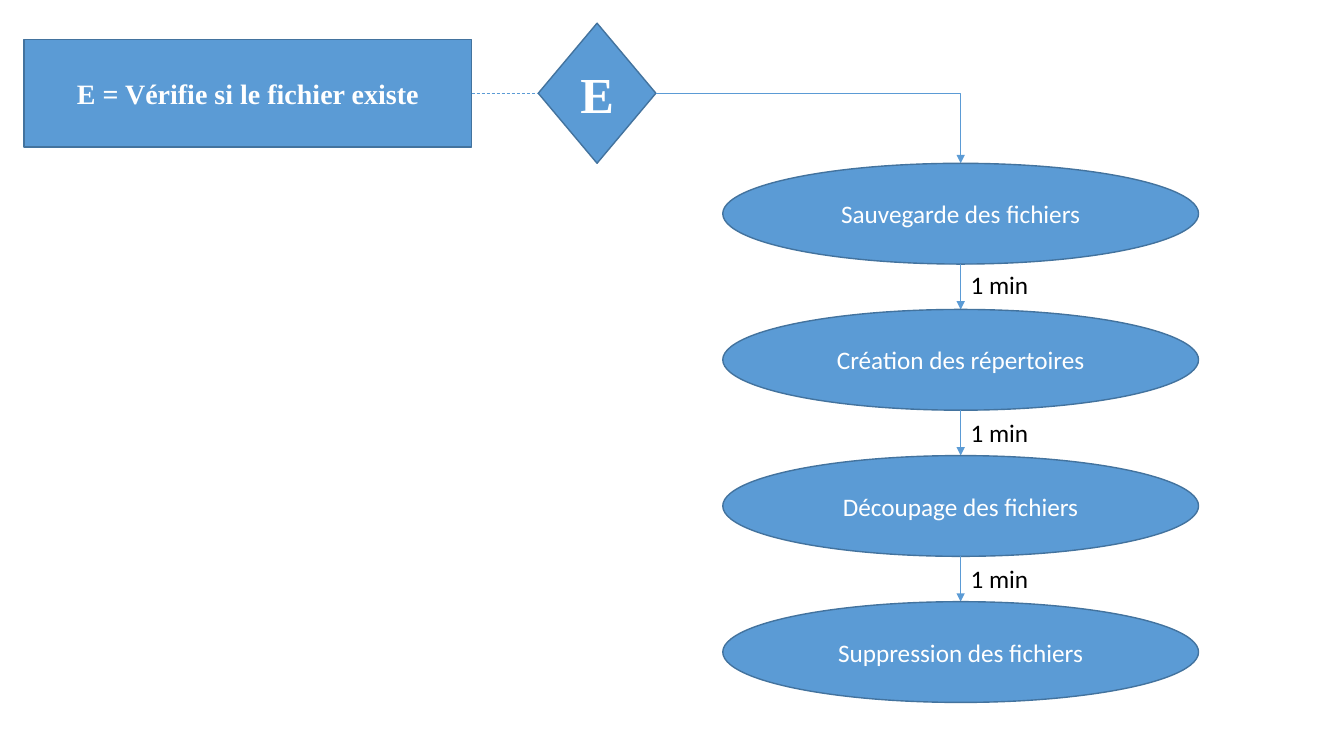
from dataclasses import dataclass

from lxml.etree import SubElement
from pptx import Presentation
from pptx.dml.color import RGBColor
from pptx.enum.dml import MSO_LINE as Dash
from pptx.enum.shapes import MSO_CONNECTOR as Link, MSO_SHAPE as Kind
from pptx.enum.text import MSO_ANCHOR as Anchor, MSO_AUTO_SIZE as Fit, PP_ALIGN as Align
from pptx.oxml.ns import qn
from pptx.util import Inches, Pt

WIDE, HIGH = Inches(13.33), Inches(7.5)
COLS = ROWS = 100
BLUE, EDGE, WHITE, BLACK = "5B9BD5", "43739E", "FFFFFF", "000000"
SANS, SERIF = "Calibri", "Times New Roman"


@dataclass
class Box:
    """A framed area, in columns and rows of the slide grid."""
    left: float
    top: float
    width: float
    height: float

    @property
    def right(self) -> float:
        return self.left + self.width

    @property
    def base(self) -> float:
        return self.top + self.height

    @property
    def mid(self) -> tuple[float, float]:
        return self.left + self.width / 2, self.top + self.height / 2

    def place(self) -> tuple[int, int, int, int]:
        return (*point(self.left, self.top), *point(self.width, self.height))


@dataclass
class Face:
    """The look of a piece of text."""
    font: str
    size: int
    tint: str = WHITE
    bold: bool = False


@dataclass
class Step:
    """A stage of the flow and the drop of the delay label below it."""
    name: str
    drop: float = 0.27


TEST = Box(1.8, 5.2, 33.3, 14.27)
GATE = Box(40.05, 3.07, 8.75, 18.53)
FIRST = Box(53.78, 21.6, 35.4, 13.33)
PITCH = 19.33
DELAY = "1 min"
STEPS = [
    Step("Sauvegarde des fichiers", 0),
    Step("Création des répertoires"),
    Step("Découpage des fichiers"),
    Step("Suppression des fichiers"),
]


def point(col: float, row: float) -> tuple[int, int]:
    """Turn grid columns and rows into slide lengths."""
    return round(WIDE * col / COLS), round(HIGH * row / ROWS)


def color(code: str) -> RGBColor:
    """Read a hex colour."""
    return RGBColor.from_string(code)


def write(frame, text: str, face: Face) -> None:
    """Fill a text frame and format its run."""
    frame.text = text
    font = frame.paragraphs[0].runs[0].font
    font.name, font.size, font.bold = face.font, Pt(face.size), face.bold
    font.color.rgb = color(face.tint)


def node(slide, kind: Kind, box: Box, text: str, face: Face) -> None:
    """Draw a blue shape with centred text."""
    shape = slide.shapes.add_shape(kind, *box.place())
    shape.shadow.inherit = False
    shape.fill.solid()
    shape.fill.fore_color.rgb = color(BLUE)
    shape.line.color.rgb = color(EDGE)
    shape.line.width = Pt(1)
    frame = shape.text_frame
    write(frame, text, face)
    frame.word_wrap = True
    frame.vertical_anchor = Anchor.MIDDLE
    frame.paragraphs[0].alignment = Align.CENTER


def link(slide, start: tuple[float, float], end: tuple[float, float],
         arrow: bool = True, bent: bool = False) -> None:
    """Join two grid points with an arrow or a dashed line."""
    kind = Link.ELBOW if bent else Link.STRAIGHT
    wire = slide.shapes.add_connector(kind, *point(*start), *point(*end))
    wire.line.color.rgb = color(BLUE)
    wire.line.width = Pt(0.5)
    props = wire._element.spPr
    if bent:
        props.find(qn("a:prstGeom")).set("prst", "bentConnector2")
    if arrow:
        SubElement(wire.line._get_or_add_ln(), qn("a:tailEnd"), type="triangle")
    else:
        wire.line.dash_style = Dash.DASH
    SubElement(props, qn("a:effectLst"))


def label(slide, box: Box, text: str, face: Face) -> None:
    """Write a text that does not wrap."""
    frame = slide.shapes.add_textbox(*box.place()).text_frame
    write(frame, text, face)
    frame.word_wrap = False
    frame.auto_size = Fit.SHAPE_TO_FIT_TEXT


def flow(slide) -> None:
    """Draw the column of steps with its timed arrows."""
    axis = FIRST.mid[0]
    for rank, step in enumerate(STEPS):
        box = Box(FIRST.left, FIRST.top + rank * PITCH, FIRST.width, FIRST.height)
        node(slide, Kind.OVAL, box, step.name, Face(SANS, 18))
        if rank < len(STEPS) - 1:
            link(slide, (axis, box.base), (axis, FIRST.top + (rank + 1) * PITCH))
            label(slide, Box(axis, box.base + step.drop, 5.85, 5.33),
                  DELAY, Face(SANS, 18, BLACK))


def main() -> None:
    """Build and save the slide."""
    deck = Presentation()
    deck.slide_width, deck.slide_height = WIDE, HIGH
    slide = deck.slides.add_slide(deck.slide_layouts[6])
    level = GATE.mid[1]
    node(slide, Kind.RECTANGLE, TEST, "E = Vérifie si le fichier existe",
         Face(SERIF, 20, bold=True))
    node(slide, Kind.DIAMOND, GATE, "E", Face(SERIF, 36, bold=True))
    link(slide, (TEST.right, level), (GATE.left, level), arrow=False)
    link(slide, (GATE.right, level), (FIRST.mid[0], FIRST.top), bent=True)
    flow(slide)
    deck.save("out.pptx")


if __name__ == "__main__":
    main()
